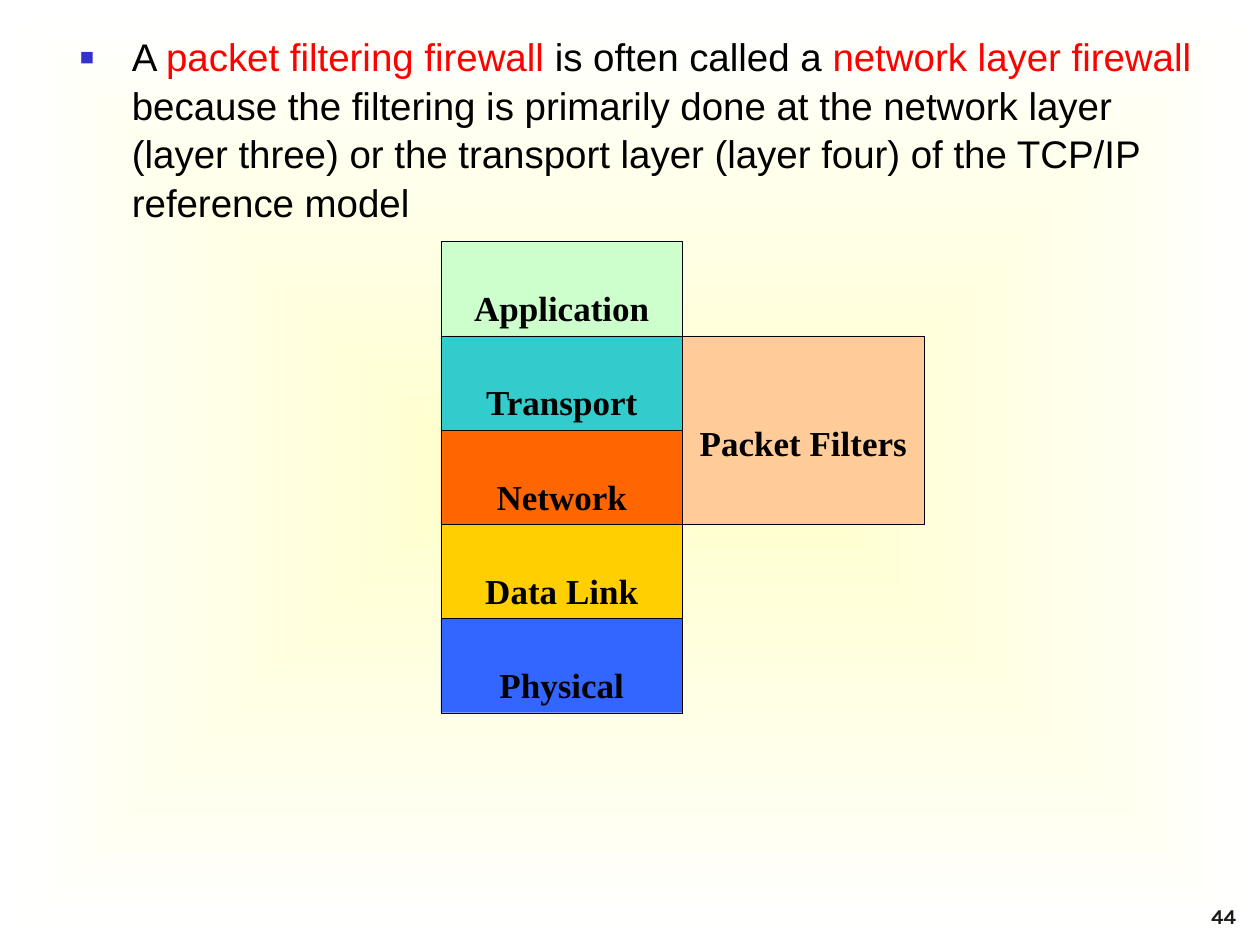
from lxml import etree
from pptx import Presentation
from pptx.dml.color import RGBColor
from pptx.enum.shapes import MSO_SHAPE
from pptx.enum.text import MSO_ANCHOR, PP_ALIGN
from pptx.oxml.ns import qn
from pptx.util import Cm, Pt

RECTANGLE = MSO_SHAPE.RECTANGLE
TOP, BOTTOM = MSO_ANCHOR.TOP, MSO_ANCHOR.BOTTOM
CENTER, RIGHT = PP_ALIGN.CENTER, PP_ALIGN.RIGHT

BLACK = RGBColor(0x00, 0x00, 0x00)
RED = RGBColor(0xFF, 0x00, 0x00)
CHARCOAL = RGBColor(0x1C, 0x1C, 0x1C)
CREAM = RGBColor(0xFF, 0xFF, 0xCC)
WHITE = RGBColor(0xFF, 0xFF, 0xFF)
MINT = RGBColor(0xCC, 0xFF, 0xCC)
TEAL = RGBColor(0x33, 0xCC, 0xCC)
ORANGE = RGBColor(0xFF, 0x66, 0x00)
GOLD = RGBColor(0xFF, 0xCF, 0x01)
BLUE = RGBColor(0x33, 0x66, 0xFF)
PEACH = RGBColor(0xFF, 0xCC, 0x99)
BULLET_COLOR = "3333CC"

STATEMENT = [
    ("A ", BLACK),
    ("packet filtering firewall", RED),
    (" is often called a ", BLACK),
    ("network layer firewall", RED),
    (" because the filtering is primarily done at the network layer (layer three) "
     "or the transport layer (layer four) of the TCP/IP reference model", BLACK),
]
LAYERS = [
    ("Application", MINT),
    ("Transport", TEAL),
    ("Network", ORANGE),
    ("Data Link", GOLD),
    ("Physical", BLUE),
]
FILTERED_LAYERS = ("Transport", "Network")
PAGE_NUMBER = "44"

STACK_LEFT, STACK_TOP = Cm(8.89), Cm(4.87)
LAYER_WIDTH, LAYER_HEIGHT = Cm(4.87), Cm(1.9)


def paint_background(slide):
    """Fill the slide with a rectangular gradient, cream at the centre."""
    fill = slide.background.fill
    fill.gradient()
    for stop, color in zip(fill.gradient_stops, (CREAM, WHITE)):
        stop.color.rgb = color
    linear = slide._element.find(".//" + qn("a:lin"))
    radial = etree.Element(qn("a:path"), {"path": "rect"})
    etree.SubElement(radial, qn("a:fillToRect"), {side: "50000" for side in "ltrb"})
    linear.getparent().replace(linear, radial)


def add_run(paragraph, text, font_name, size, color, bold=False):
    run = paragraph.add_run()
    run.text = text
    run.font.name = font_name
    run.font.size = Pt(size)
    run.font.bold = bold
    run.font.color.rgb = color


def add_statement(slide):
    frame = slide.shapes.add_textbox(Cm(0.43), Cm(0.5), Cm(24.23), Cm(4.1)).text_frame
    frame.word_wrap = True
    paragraph = frame.paragraphs[0]
    properties = paragraph._p.get_or_add_pPr()
    properties.set("marL", str(Cm(1.98)))
    properties.set("indent", str(-Cm(1.07)))
    bullet_color = etree.SubElement(properties, qn("a:buClr"))
    etree.SubElement(bullet_color, qn("a:srgbClr"), val=BULLET_COLOR)
    etree.SubElement(properties, qn("a:buSzPct"), val="120000")
    etree.SubElement(properties, qn("a:buFont"), typeface="Arial")
    etree.SubElement(properties, qn("a:buChar"), char="▪")
    paragraph.line_spacing = 1.05
    for text, color in STATEMENT:
        add_run(paragraph, text, "Arial", 22, color)


def add_block(slide, label, color, left, top, height, label_offset):
    block = slide.shapes.add_shape(RECTANGLE, left, top, LAYER_WIDTH, height)
    block.shadow.inherit = False
    block.fill.solid()
    block.fill.fore_color.rgb = color
    block.line.color.rgb = BLACK
    block.line.width = Pt(0.25)
    frame = block.text_frame
    frame.vertical_anchor = TOP
    frame.margin_left = frame.margin_right = frame.margin_bottom = 0
    frame.margin_top = label_offset
    paragraph = frame.paragraphs[0]
    paragraph.alignment = CENTER
    add_run(paragraph, label, "Times New Roman", 20, BLACK, bold=True)


def add_layer_stack(slide):
    for row, (layer, color) in enumerate(LAYERS):
        add_block(slide, layer, color, STACK_LEFT, STACK_TOP + row * LAYER_HEIGHT,
                  LAYER_HEIGHT, Cm(0.91))
    first_row = [layer for layer, _ in LAYERS].index(FILTERED_LAYERS[0])
    add_block(slide, "Packet Filters", PEACH, STACK_LEFT + LAYER_WIDTH,
              STACK_TOP + first_row * LAYER_HEIGHT,
              len(FILTERED_LAYERS) * LAYER_HEIGHT, Cm(1.73))


def add_page_number(slide):
    frame = slide.shapes.add_textbox(Cm(23.7), Cm(18.42), Cm(1.47), Cm(0.43)).text_frame
    frame.word_wrap = True
    frame.vertical_anchor = BOTTOM
    paragraph = frame.paragraphs[0]
    paragraph.alignment = RIGHT
    add_run(paragraph, PAGE_NUMBER, "Karla", 12, CHARCOAL, bold=True)


def main():
    presentation = Presentation()
    presentation.slide_width, presentation.slide_height = Cm(25.4), Cm(19.05)
    slide = presentation.slides.add_slide(presentation.slide_layouts[6])
    paint_background(slide)
    add_page_number(slide)
    add_statement(slide)
    add_layer_stack(slide)
    presentation.save("out.pptx")


if __name__ == "__main__":
    main()
